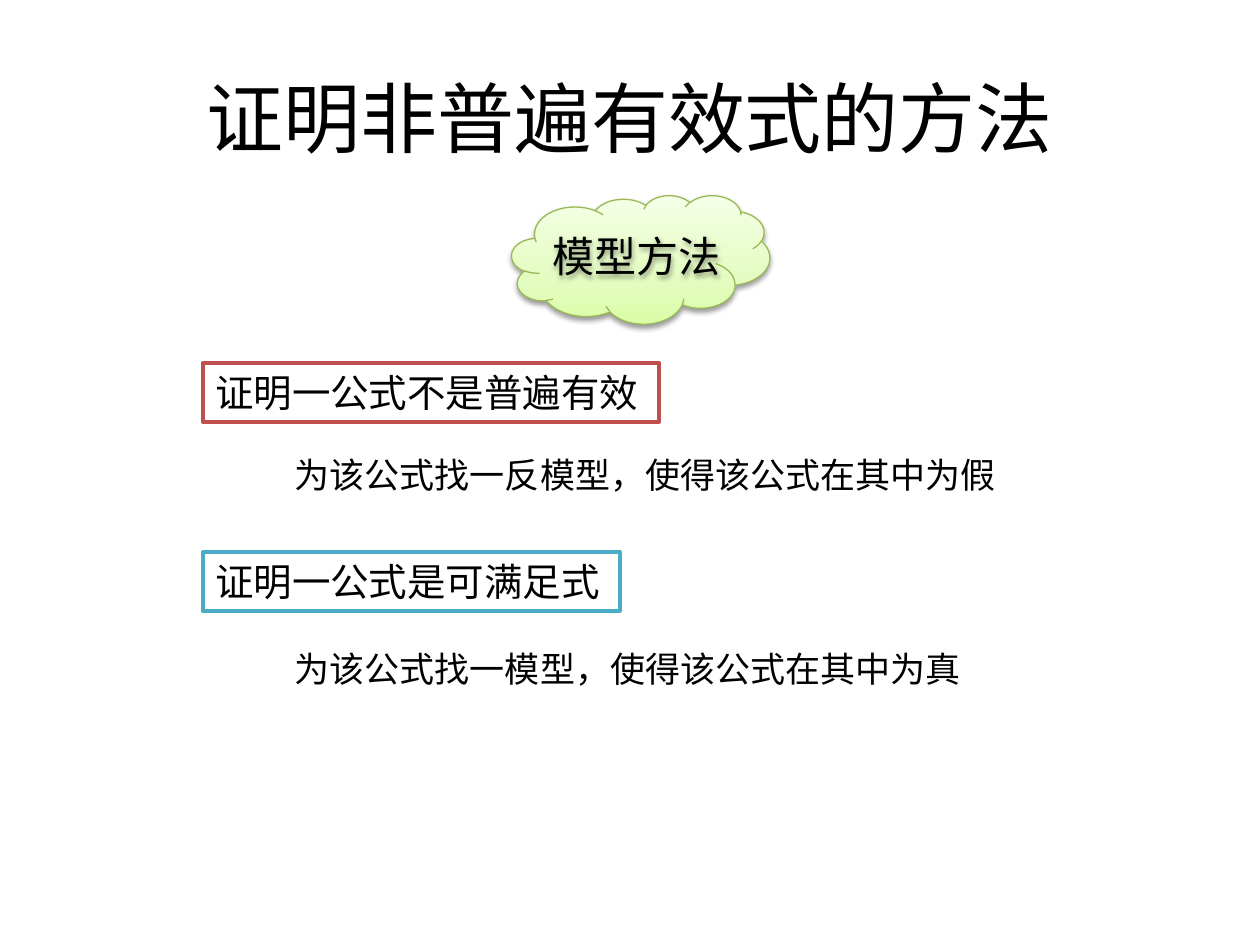
import lxml.etree
import pptx
import pptx.dml.color
import pptx.enum.shapes
import pptx.enum.text
import pptx.oxml
import pptx.oxml.ns
import pptx.util

# Grid of 100 columns by 75 rows on a 10 x 7.5 inch slide
CELL = pptx.util.Inches(0.1)
COLUMNS, ROWS = 100, 75
CLAIM_COLUMN, ADVICE_COLUMN = 16.1, 22.4

TITLE_FONT, BODY_FONT = "Noto Sans CJK JP", "Noto Sans CJK SC"
COLORS = {
    "text": "000000",
    "paper": "FFFFFF",
    "invalid": "C0504D",
    "satisfiable": "4BACC6",
    "cloud_line": "98B955",
    "cloud_bottom": "DAFDA7",
    "cloud_middle": "E4FCC2",
    "cloud_top": "F5FFE7",
    "shadow": "000000",
}
CLOUD_STOPS = ((0, "cloud_bottom"), (35, "cloud_middle"), (100, "cloud_top"))

# claim, outline colour, claim row, claim width, advice, advice row
METHODS = (
    ("证明一公式不是普遍有效", "invalid", 28.8, 36.2,
     "为该公式找一反模型，使得该公式在其中为假", 35.5),
    ("证明一公式是可满足式", "satisfiable", 43.8, 33.1,
     "为该公式找一模型，使得该公式在其中为真", 50.9),
)


def grid(*cells):
    return [round(cell * CELL) for cell in cells]


def rgb(name):
    return pptx.dml.color.RGBColor.from_string(COLORS[name])


def write(shape, text, size, font_name=BODY_FONT,
          align=pptx.enum.text.PP_ALIGN.LEFT,
          anchor=pptx.enum.text.MSO_ANCHOR.TOP):
    frame = shape.text_frame
    frame.word_wrap = True
    frame.vertical_anchor = anchor
    paragraph = frame.paragraphs[0]
    paragraph.text = text
    paragraph.alignment = align
    font = paragraph.font
    font.size = pptx.util.Pt(size)
    font.name = font_name
    font.color.rgb = rgb("text")
    # Chinese characters take the East Asian typeface
    properties = paragraph._p.pPr.find(pptx.oxml.ns.qn("a:defRPr"))
    east_asian = lxml.etree.SubElement(properties, pptx.oxml.ns.qn("a:ea"))
    east_asian.set("typeface", font_name)


def add_text(shapes, area, text, size, **style):
    write(shapes.add_textbox(*grid(*area)), text, size, **style)


def add_claim(shapes, area, text, outline):
    claim = shapes.add_shape(pptx.enum.shapes.MSO_SHAPE.RECTANGLE, *grid(*area))
    claim.shadow.inherit = False
    claim.fill.solid()
    claim.fill.fore_color.rgb = rgb("paper")
    claim.line.color.rgb = rgb(outline)
    claim.line.width = pptx.util.Pt(2)
    write(claim, text, 22)


def fill_gradient(shape, stops):
    shape.fill.gradient()
    shape.fill.gradient_angle = 90
    stop_list = shape._element.spPr.find(".//" + pptx.oxml.ns.qn("a:gsLst"))
    for old_stop in list(stop_list):
        stop_list.remove(old_stop)
    for percent, name in stops:
        stop_list.append(pptx.oxml.parse_xml(
            f'<a:gs {pptx.oxml.ns.nsdecls("a")} pos="{percent * 1000}">'
            f'<a:srgbClr val="{COLORS[name]}"/></a:gs>'))


def cast_shadow(shape):
    shape.shadow.inherit = False
    effects = shape._element.spPr.find(pptx.oxml.ns.qn("a:effectLst"))
    effects.append(pptx.oxml.parse_xml(
        f'<a:outerShdw {pptx.oxml.ns.nsdecls("a")} blurRad="{pptx.util.Pt(3.1)}" '
        f'dist="{pptx.util.Pt(1.6)}" dir="5400000" rotWithShape="0">'
        f'<a:srgbClr val="{COLORS["shadow"]}"><a:alpha val="38000"/></a:srgbClr>'
        '</a:outerShdw>'))


def add_cloud(shapes, area, label_area, text):
    group = shapes.add_group_shape()
    cloud = group.shapes.add_shape(pptx.enum.shapes.MSO_SHAPE.CLOUD, *grid(*area))
    fill_gradient(cloud, CLOUD_STOPS)
    cloud.line.color.rgb = rgb("cloud_line")
    cloud.line.width = pptx.util.Pt(0.75)
    label = group.shapes.add_textbox(*grid(*label_area))
    write(label, text, 24)
    for part in (cloud, label):
        cast_shadow(part)


def main():
    deck = pptx.Presentation()
    deck.slide_width, deck.slide_height = grid(COLUMNS, ROWS)
    shapes = deck.slides.add_slide(deck.slide_layouts[6]).shapes

    # Title
    add_text(shapes, (5, 3, COLUMNS - 10, 12.5), "证明非普遍有效式的方法", 44,
             font_name=TITLE_FONT, align=pptx.enum.text.PP_ALIGN.CENTER,
             anchor=pptx.enum.text.MSO_ANCHOR.MIDDLE)

    # Claims, each with its advice
    for claim, outline, claim_row, width, advice, advice_row in METHODS:
        add_claim(shapes, (CLAIM_COLUMN, claim_row, width, 4.7), claim, outline)
        add_text(shapes, (ADVICE_COLUMN, advice_row, 59.1, 4.4), advice, 20)

    # Name of the method
    add_cloud(shapes, (40.6, 15.5, 20.5, 10.2), (42.9, 17.8, 19.7, 5), "模型方法")

    deck.save("out.pptx")


if __name__ == "__main__":
    main()
